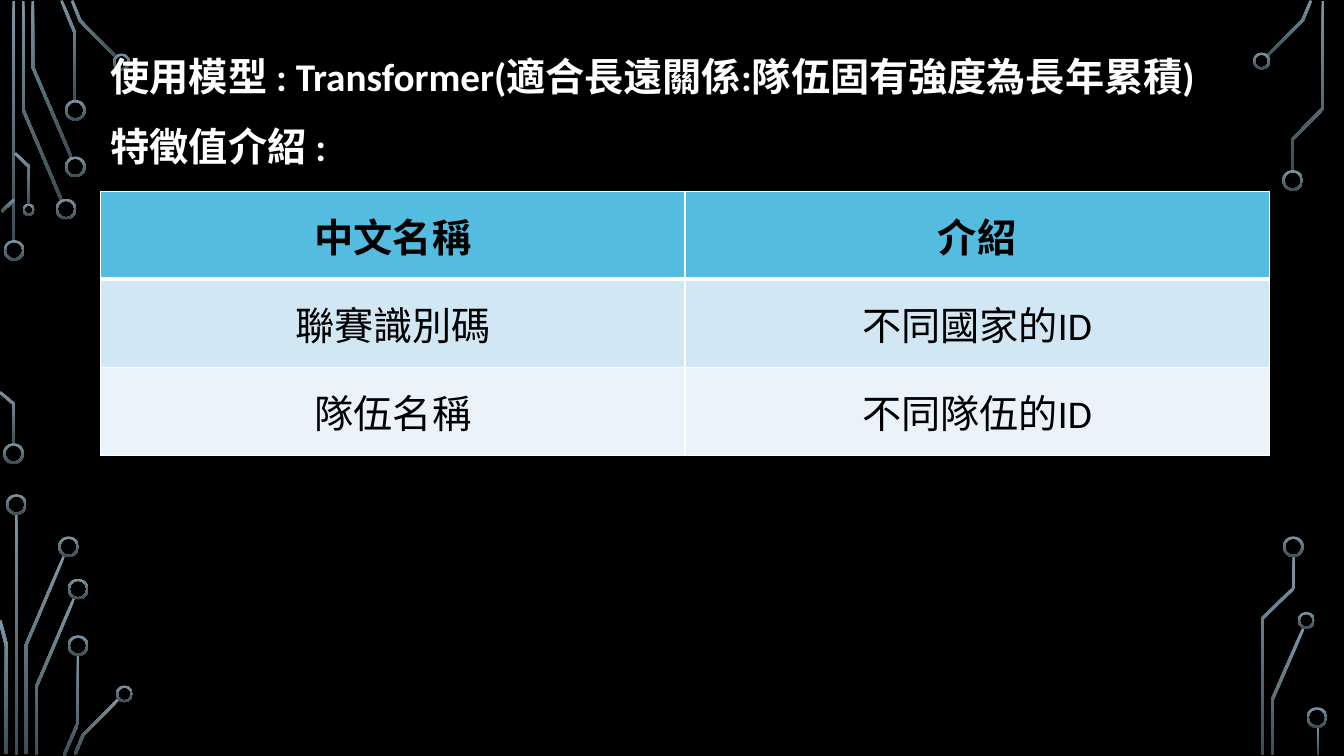
"""Build a slide with model features in a table, framed by circuit traces."""
from dataclasses import dataclass

from lxml import etree
from pptx import Presentation
from pptx.dml.color import RGBColor
from pptx.enum.shapes import MSO_SHAPE
from pptx.enum.text import MSO_ANCHOR, PP_ALIGN
from pptx.oxml.ns import qn
from pptx.util import Pt

DONUT = MSO_SHAPE.DONUT
MIDDLE = MSO_ANCHOR.MIDDLE
CENTER = PP_ALIGN.CENTER

BLACK, WHITE = "000000", "FFFFFF"
CIRCUIT_COLORS = ("7C96A3", "3B4C54")
ROW_FILLS = ("54BCDF", "D1E7F3", "E9F3F9")
FONT_FORMAT = {"name": "Calibri", "size": Pt(28)}
HEADING_FORMAT = {"line_spacing": 1.2, "space_before": Pt(10)}
HEADINGS = (
    "使用模型 : Transformer(適合長遠關係:隊伍固有強度為長年累積)",
    "特徵值介紹 :",
)
FEATURES = (
    ("中文名稱", "介紹"),
    ("聯賽識別碼", "不同國家的ID"),
    ("隊伍名稱", "不同隊伍的ID"),
)
COLUMN_WIDTH, ROW_HEIGHT = 417.3, 62.9
RING_THICKNESS = 1.5


@dataclass
class Trace:
    points: tuple
    width: float = 1.9


@dataclass
class Ring:
    center_x: float
    center_y: float
    diameter: float = 14.8


TRACES = (
    Trace(((9.8, 0.7), (9.8, 172.8))),
    Trace(((16.6, 0.7), (16.6, 78.5), (43.9, 142.9))),
    Trace(((23.4, 0.7), (23.4, 47.9), (51.1, 112.7))),
    Trace(((43.9, 0.4), (53.6, 23.8), (53.6, 72))),
    Trace(((51.5, 0.4), (57.2, 14.8), (83.2, 41))),
    Trace(((1.1, 151.2), (10.1, 142.6))),
    Trace(((0, 280.1), (10.1, 288.7), (10.1, 317.5))),
    Trace(((10.8, 109.4), (20.9, 119.2), (20.9, 146.2))),
    Trace(((11.7, 367.2), (11.7, 539.3))),
    Trace(((18.4, 538.6), (18.4, 461.2), (45.7, 397.1))),
    Trace(((0, 443.2), (4.7, 461.5), (4.7, 538.6)), 2.4),
    Trace(((25.6, 539.3), (25.6, 491.4), (52.9, 427.3))),
    Trace(((45.7, 539.6), (55.8, 516.2), (55.8, 468))),
    Trace(((53.6, 538.9), (59.4, 524.9), (85, 499))),
    Trace(((905, 40), (930.6, 14.4), (936.4, 0.4))),
    Trace(((909, 539.3), (909, 499.3), (931, 448.9))),
    Trace(((923, 121.7), (923, 99.7), (945, 77.4), (945, 0.7))),
    Trace(((901.8, 539.3), (901.8, 441.7), (924.1, 420.1), (924.1, 397.4))),
    Trace(((941.4, 519.1), (941.4, 539.3))),
)
RINGS = (
    Ring(10.1, 178.9),
    Ring(9.7, 324),
    Ring(47.2, 149.4),
    Ring(53.8, 119.2),
    Ring(53.8, 78.8),
    Ring(86.8, 44.3, 12.2),
    Ring(20.5, 149.8, 8.8),
    Ring(11.7, 360.4),
    Ring(49, 390.6),
    Ring(55.8, 420.8),
    Ring(55.8, 461.2),
    Ring(88.9, 495.7, 12.2),
    Ring(901.2, 43.6, 12.2),
    Ring(923.4, 128.9),
    Ring(933.1, 443.2, 12.2),
    Ring(923.8, 390.6),
    Ring(940.7, 512.6),
)


def color(value: str) -> RGBColor:
    return RGBColor.from_string(value)


def apply_format(target, values: dict) -> None:
    for name, value in values.items():
        setattr(target, name, value)


def style_circuit(shape) -> None:
    shape.shadow.inherit = False
    shape.line.fill.background()
    shape.fill.gradient()
    shape.fill.gradient_angle = 270
    for stop, value in zip(shape.fill.gradient_stops, CIRCUIT_COLORS):
        stop.color.rgb = color(value)


def trace_outline(trace: Trace) -> list:
    points = [complex(*point) for point in trace.points]
    normals = [1j * (end - start) / abs(end - start)
               for start, end in zip(points, points[1:])]
    sides = [], []
    for point, before, after in zip(points, normals[:1] + normals, normals + normals[-1:]):
        miter = (before + after) / (1 + (before * after.conjugate()).real)
        sides[0].append(point + miter * trace.width / 2)
        sides[1].append(point - miter * trace.width / 2)
    return [(Pt(corner.real), Pt(corner.imag)) for corner in sides[0] + sides[1][::-1]]


def draw_trace(slide, trace: Trace) -> None:
    start, *corners = trace_outline(trace)
    builder = slide.shapes.build_freeform(*start)
    builder.add_line_segments(corners, close=True)
    style_circuit(builder.convert_to_shape())


def draw_ring(slide, ring: Ring) -> None:
    size = Pt(ring.diameter)
    left = Pt(ring.center_x - ring.diameter / 2)
    top = Pt(ring.center_y - ring.diameter / 2)
    shape = slide.shapes.add_shape(DONUT, left, top, size, size)
    shape.adjustments[0] = RING_THICKNESS / ring.diameter
    style_circuit(shape)


def write(paragraph, text: str, text_color: str, bold: bool) -> None:
    run = paragraph.add_run()
    run.text = text
    apply_format(run.font, FONT_FORMAT | {"bold": bold})
    run.font.color.rgb = color(text_color)


def draw_headings(slide) -> None:
    box = slide.shapes.add_textbox(Pt(72), Pt(28.1), Pt(858.2), Pt(95.8))
    frame = box.text_frame
    apply_format(frame, {"word_wrap": True, "vertical_anchor": MIDDLE})
    for index, text in enumerate(HEADINGS):
        paragraph = frame.add_paragraph() if index else frame.paragraphs[0]
        apply_format(paragraph, HEADING_FORMAT)
        write(paragraph, text, WHITE, True)


def set_border(cell, side: str, width: float) -> None:
    properties = cell._tc.get_or_add_tcPr()
    line = etree.SubElement(properties, qn(f"a:ln{side}"), w=str(Pt(width)))
    fill = etree.SubElement(line, qn("a:solidFill"))
    etree.SubElement(fill, qn("a:srgbClr"), val=WHITE)


def draw_table(slide) -> None:
    rows, columns = len(FEATURES), len(FEATURES[0])
    frame = slide.shapes.add_table(rows, columns, Pt(72), Pt(136.6),
                                   Pt(columns * COLUMN_WIDTH), Pt(rows * ROW_HEIGHT))
    table = frame.table
    for column in table.columns:
        column.width = Pt(COLUMN_WIDTH)
    for row_index, texts in enumerate(FEATURES):
        table.rows[row_index].height = Pt(ROW_HEIGHT)
        for column_index, text in enumerate(texts):
            cell = table.cell(row_index, column_index)
            cell.vertical_anchor = MIDDLE
            widths = {"L": 1, "R": 1, "T": 3 if row_index == 1 else 1,
                      "B": 3 if row_index == 0 else 1}
            for side, width in widths.items():
                set_border(cell, side, width)
            cell.fill.solid()
            cell.fill.fore_color.rgb = color(ROW_FILLS[row_index])
            paragraph = cell.text_frame.paragraphs[0]
            paragraph.alignment = CENTER
            write(paragraph, text, BLACK, row_index == 0)


def main() -> None:
    presentation = Presentation()
    apply_format(presentation, {"slide_width": Pt(960), "slide_height": Pt(540)})
    slide = presentation.slides.add_slide(presentation.slide_layouts[6])
    slide.background.fill.solid()
    slide.background.fill.fore_color.rgb = color(BLACK)
    for trace in TRACES:
        draw_trace(slide, trace)
    for ring in RINGS:
        draw_ring(slide, ring)
    draw_headings(slide)
    draw_table(slide)
    presentation.save("out.pptx")


if __name__ == "__main__":
    main()
